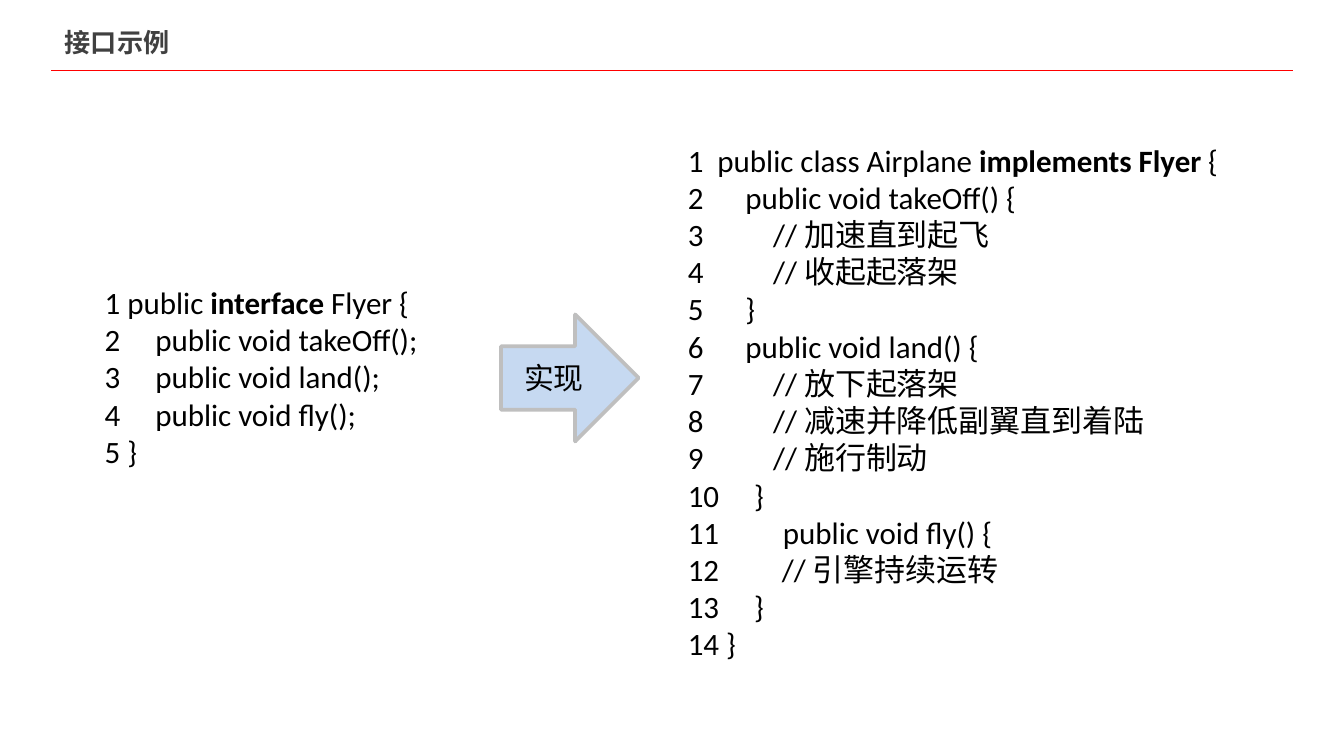
from lxml import etree
from pptx import Presentation
from pptx.dml.color import RGBColor
from pptx.enum.shapes import MSO_CONNECTOR, MSO_SHAPE
from pptx.enum.text import MSO_ANCHOR, PP_ALIGN
from pptx.oxml.ns import qn
from pptx.util import Cm, Pt

STRAIGHT = MSO_CONNECTOR.STRAIGHT
RIGHT_ARROW = MSO_SHAPE.RIGHT_ARROW
TOP, MIDDLE = MSO_ANCHOR.TOP, MSO_ANCHOR.MIDDLE
LEFT, CENTER = PP_ALIGN.LEFT, PP_ALIGN.CENTER

COLORS = {
    "background": "FFFFFF",
    "title": "404040",
    "rule": "FF0000",
    "text": "000000",
    "arrow": "C6D9F1",
    "arrow_line": "BFBFBF",
}
CODE_FONT = "Calibri"
CHINESE_FONT = "Noto Sans CJK SC"

INTERFACE_CODE = """1 public **interface** Flyer {
2     public void takeOff();
3     public void land();
4     public void fly();
5 }"""

CLASS_CODE = """1  public class Airplane **implements Flyer **{
2      public void takeOff() {
3          // 加速直到起飞
4          // 收起起落架
5      }
6      public void land() {
7          // 放下起落架
8          // 减速并降低副翼直到着陆
9          // 施行制动
10     }
11 \t    public void fly() {
12         // 引擎持续运转
13     }
14 }"""


def color(name):
    return RGBColor.from_string(COLORS[name])


def add_tab_stop(paragraph, position):
    properties = paragraph._p.get_or_add_pPr()
    tabs = etree.SubElement(properties, qn("a:tabLst"))
    etree.SubElement(tabs, qn("a:tab"), pos=str(position), algn="l")


def write_text(shape, text, size, font=CHINESE_FONT, color_name="text", bold=False,
               align=LEFT, anchor=TOP, line_spacing=None, tab_stop=None):
    """Fill a shape with one paragraph per line; ** switches bold on and off."""
    frame = shape.text_frame
    frame.word_wrap = True
    frame.vertical_anchor = anchor
    for index, line in enumerate(text.split("\n")):
        paragraph = frame.add_paragraph() if index else frame.paragraphs[0]
        paragraph.alignment = align
        if line_spacing:
            paragraph.line_spacing = line_spacing
        if tab_stop:
            add_tab_stop(paragraph, tab_stop)
        for part_index, part in enumerate(line.split("**")):
            run = paragraph.add_run()
            run.text = part
            run.font.size = size
            run.font.name = font
            run.font.bold = bold or part_index % 2 == 1
            run.font.color.rgb = color(color_name)
            etree.SubElement(run._r.get_or_add_rPr(), qn("a:ea"), typeface=CHINESE_FONT)


def add_title(slide, text):
    title = slide.shapes.title
    title.left, title.top = Cm(0.97), Cm(0.41)
    title.width, title.height = Cm(11.13), Cm(0.76)
    write_text(title, text, Pt(14), color_name="title", bold=True, anchor=MIDDLE)


def add_title_rule(slide):
    y = Cm(1.33)
    rule = slide.shapes.add_connector(STRAIGHT, Cm(0.97), y, Cm(24.43), y)
    rule.line.color.rgb = color("rule")
    rule.line.width = Pt(0.25)
    etree.SubElement(rule._element.spPr, qn("a:effectLst"))


def add_code(slide, code, left, top, width, height):
    box = slide.shapes.add_textbox(left, top, width, height)
    write_text(box, code, Pt(16.6), font=CODE_FONT,
               line_spacing=Pt(19.94), tab_stop=Cm(1.27))


def add_arrow(slide, text, left, top, width, height):
    arrow = slide.shapes.add_shape(RIGHT_ARROW, left, top, width, height)
    arrow.shadow.inherit = False
    arrow.fill.solid()
    arrow.fill.fore_color.rgb = color("arrow")
    arrow.line.color.rgb = color("arrow_line")
    arrow.line.width = Pt(2)
    frame = arrow.text_frame
    frame.margin_left = frame.margin_right = 0
    write_text(arrow, text, Pt(16), align=CENTER, anchor=MIDDLE)


def main():
    presentation = Presentation()
    presentation.slide_width, presentation.slide_height = Cm(25.4), Cm(14.28)
    slide = presentation.slides.add_slide(presentation.slide_layouts[5])
    slide.background.fill.solid()
    slide.background.fill.fore_color.rgb = color("background")
    add_title_rule(slide)
    add_title(slide, "接口示例")
    add_code(slide, INTERFACE_CODE, Cm(1.73), Cm(5.23), Cm(7.42), Cm(3.63))
    add_code(slide, CLASS_CODE, Cm(12.75), Cm(2.54), Cm(11.68), Cm(9.83))
    add_arrow(slide, "实现", Cm(9.47), Cm(5.94), Cm(2.6), Cm(2.4))
    presentation.save("out.pptx")


if __name__ == "__main__":
    main()
